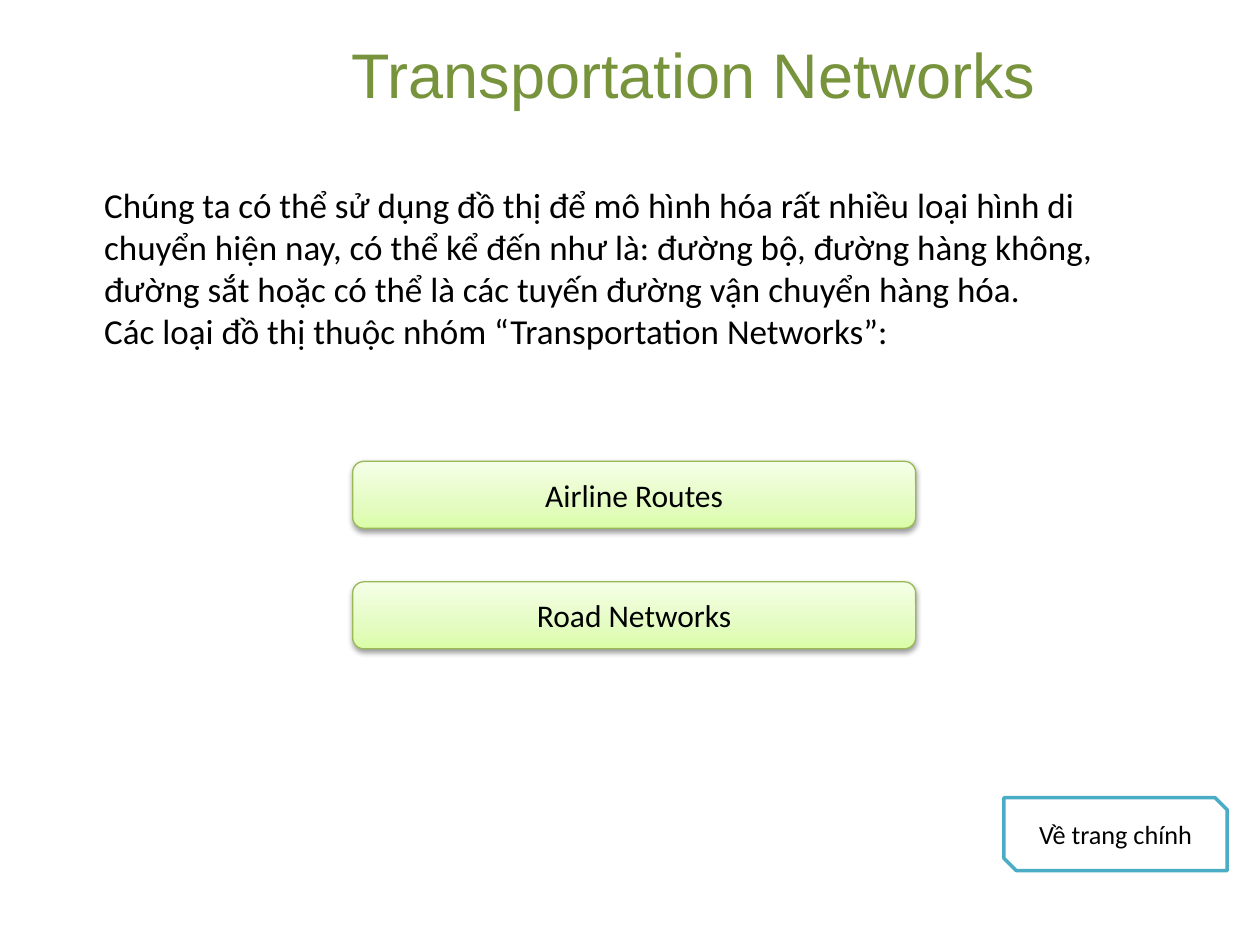
from copy import deepcopy
from dataclasses import dataclass

from lxml.etree import SubElement
from pptx import Presentation
from pptx.dml.color import RGBColor
from pptx.enum.shapes import MSO_SHAPE
from pptx.enum.text import MSO_ANCHOR, PP_ALIGN
from pptx.oxml.ns import qn
from pptx.util import Cm, Pt


@dataclass(frozen=True)
class Theme:
    title_font: str = "Arial"
    body_font: str = "Calibri"
    title_size: float = 36
    body_size: float = 20
    button_size: float = 18
    link_size: float = 15
    title_color: str = "77933C"
    text_color: str = "000000"
    button_gradient: tuple = ((0, "DAFDA7"), (0.35, "E4FCC2"), (1, "F5FFE7"))
    button_line: str = "98B955"
    link_fill: str = "FFFFFF"
    link_line: str = "4BACC6"
    shadow_color: str = "000000"


THEME = Theme()


def color(value):
    return RGBColor.from_string(value)


def write_text(shape, lines, size, font=THEME.body_font, text_color=THEME.text_color,
               align=PP_ALIGN.CENTER, anchor=MSO_ANCHOR.MIDDLE):
    frame = shape.text_frame
    frame.word_wrap = True
    frame.vertical_anchor = anchor
    frame.text = "\n".join(lines)
    for paragraph in frame.paragraphs:
        paragraph.alignment = align
        paragraph.font.name = font
        paragraph.font.size = Pt(size)
        paragraph.font.color.rgb = color(text_color)


def add_outlined_shape(slide, preset, box, line_color, line_width):
    shape = slide.shapes.add_shape(preset, *box)
    shape.shadow.inherit = False
    shape.line.color.rgb = color(line_color)
    shape.line.width = Pt(line_width)
    return shape


def apply_gradient(shape, stops, angle):
    shape.fill.gradient()
    shape.fill.gradient_angle = angle
    stop_list = shape._element.spPr.find(qn("a:gradFill")).find(qn("a:gsLst"))
    while len(stop_list) < len(stops):
        stop_list.append(deepcopy(stop_list[-1]))
    for stop, (position, value) in zip(shape.fill.gradient_stops, stops):
        stop.position = position
        stop.color.rgb = color(value)


def apply_shadow(shape):
    effects = shape._element.spPr.find(qn("a:effectLst"))
    shadow = SubElement(effects, qn("a:outerShdw"), blurRad=str(Pt(3.15)),
                        dist=str(Pt(1.6)), dir="5400000", rotWithShape="0")
    shadow_color = SubElement(shadow, qn("a:srgbClr"), val=THEME.shadow_color)
    SubElement(shadow_color, qn("a:alpha"), val="38000")


def add_title(slide, box, text):
    title = slide.shapes.add_textbox(*box)
    write_text(title, [text], THEME.title_size, THEME.title_font, THEME.title_color)


def add_description(slide, box, lines):
    description = slide.shapes.add_textbox(*box)
    write_text(description, lines, THEME.body_size, align=PP_ALIGN.LEFT, anchor=MSO_ANCHOR.TOP)


def add_button_stack(slide, box, labels, gap):
    left, top, width, height = box
    button_height = (height - gap * (len(labels) - 1)) // len(labels)
    for index, label in enumerate(labels):
        button_box = left, top + index * (button_height + gap), width, button_height
        button = add_outlined_shape(slide, MSO_SHAPE.ROUNDED_RECTANGLE, button_box,
                                    THEME.button_line, 0.75)
        apply_gradient(button, THEME.button_gradient, 90)
        apply_shadow(button)
        write_text(button, [label], THEME.button_size)


def add_home_link(slide, box, label):
    link = add_outlined_shape(slide, MSO_SHAPE.SNIP_2_DIAG_RECTANGLE, box, THEME.link_line, 2)
    link.fill.solid()
    link.fill.fore_color.rgb = color(THEME.link_fill)
    write_text(link, [label], THEME.link_size)


def main():
    presentation = Presentation()
    presentation.slide_width = Cm(25.4)
    presentation.slide_height = Cm(19.05)
    slide = presentation.slides.add_slide(presentation.slide_layouts[6])

    add_title(slide, (Cm(3.84), Cm(0.13), Cm(20.29), Cm(2.69)), "Transportation Networks")
    add_description(slide, (Cm(1.85), Cm(3.58), Cm(22.28), Cm(3.68)), [
        "Chúng ta có thể sử dụng đồ thị để mô hình hóa rất nhiều loại hình di chuyển hiện nay, "
        "có thể kể đến như là: đường bộ, đường hàng không, đường sắt hoặc có thể là các tuyến "
        "đường vận chuyển hàng hóa.",
        "Các loại đồ thị thuộc nhóm “Transportation Networks”:",
    ])
    add_button_stack(slide, (Cm(7.11), Cm(9.3), Cm(11.35), Cm(3.78)),
                     ["Airline Routes", "Road Networks"], Cm(1.08))
    add_home_link(slide, (Cm(20.24), Cm(16.08), Cm(4.5), Cm(1.47)), "Về trang chính")

    presentation.save("out.pptx")


if __name__ == "__main__":
    main()
